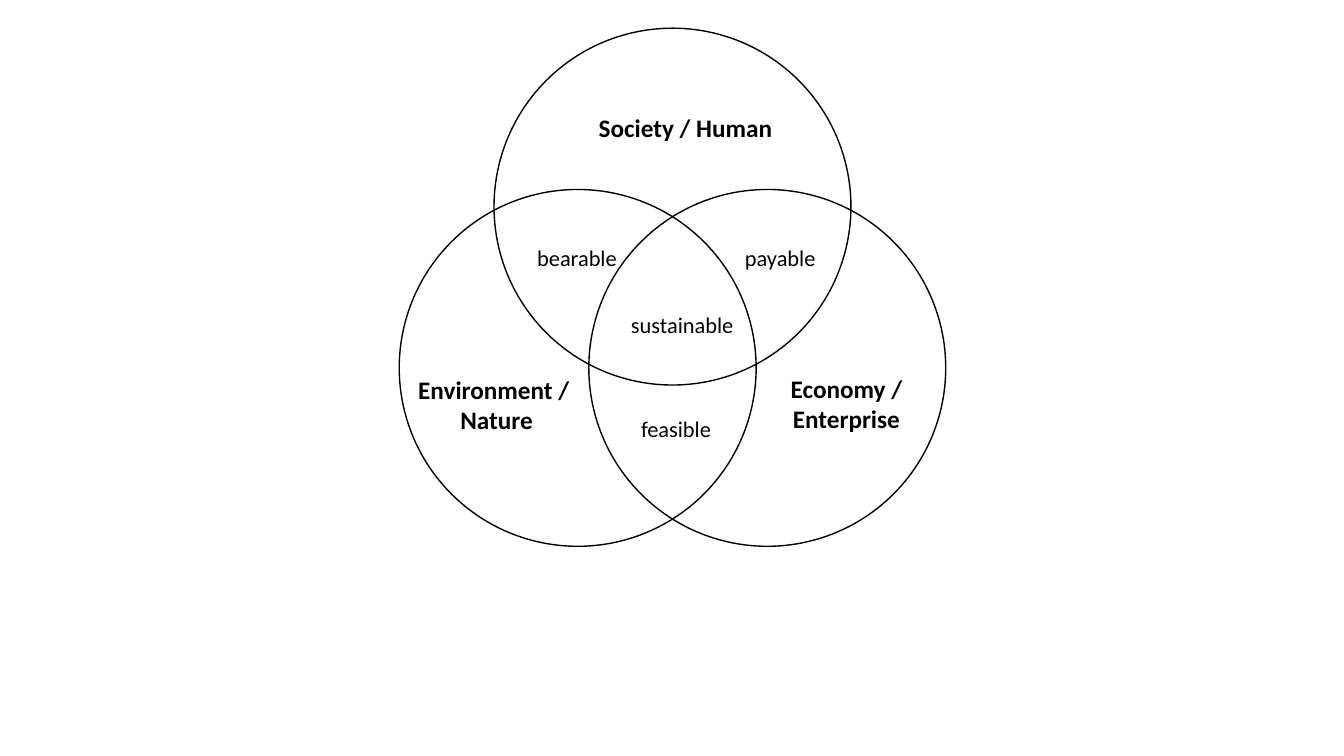
from pptx import Presentation
from pptx.dml.color import RGBColor
from pptx.enum.shapes import MSO_SHAPE as Shape
from pptx.enum.text import MSO_AUTO_SIZE as Fit, PP_ALIGN as Align
from pptx.util import Inches, Pt


def color(code):
    return RGBColor.from_string(code)


class Venn:
    font = "Calibri"
    ink = "000000"
    size = 3.54

    def __init__(self, slide):
        self.group = slide.shapes.add_group_shape().shapes

    def circle(self, left, top):
        ring = self.group.add_shape(
            Shape.OVAL, Inches(left), Inches(top), Inches(self.size), Inches(self.size))
        ring.shadow.inherit = False
        ring.fill.background()
        ring.line.color.rgb = color(self.ink)
        ring.line.width = Pt(1)

    def label(self, text, left, top, width, height, size=16, bold=False, wrap=False):
        """Add a text box; wrapped labels are centred."""
        box = self.group.add_textbox(
            Inches(left), Inches(top), Inches(width), Inches(height))
        frame = box.text_frame
        frame.word_wrap = wrap
        frame.auto_size = Fit.SHAPE_TO_FIT_TEXT
        frame.text = text
        for para in frame.paragraphs:
            para.alignment = Align.CENTER if wrap else Align.LEFT
            for run in para.runs:
                run.font.name = self.font
                run.font.size = Pt(size)
                run.font.bold = bold
                run.font.color.rgb = color(self.ink)

    def title(self, text, left, top, width, height, wrap=True):
        self.label(text, left, top, width, height, 18, True, wrap)


def main():
    deck = Presentation()
    deck.slide_width, deck.slide_height = Inches(13.33), Inches(7.5)
    venn = Venn(deck.slides.add_slide(deck.slide_layouts[6]))

    mid, shift = 4.9, 0.94
    for left, top in ((mid, 0.28), (mid - shift, 1.88), (mid + shift, 1.88)):
        venn.circle(left, top)

    venn.title("Society / Human", 5.84, 1.07, 1.94, 0.4, wrap=False)
    venn.title("Economy / Enterprise", 7.42, 3.65, 1.95, 0.71)
    venn.title("Environment / \vNature", 3.95, 3.66, 1.95, 0.71)

    for text, left, top, width in (
        ("bearable", 5.23, 2.37, 1),
        ("payable", 7.29, 2.37, 0.91),
        ("feasible", 6.26, 4.07, 0.9),
        ("sustainable", 6.16, 3.04, 1.23),
    ):
        venn.label(text, left, top, width, 0.37)

    deck.save("out.pptx")


if __name__ == "__main__":
    main()
